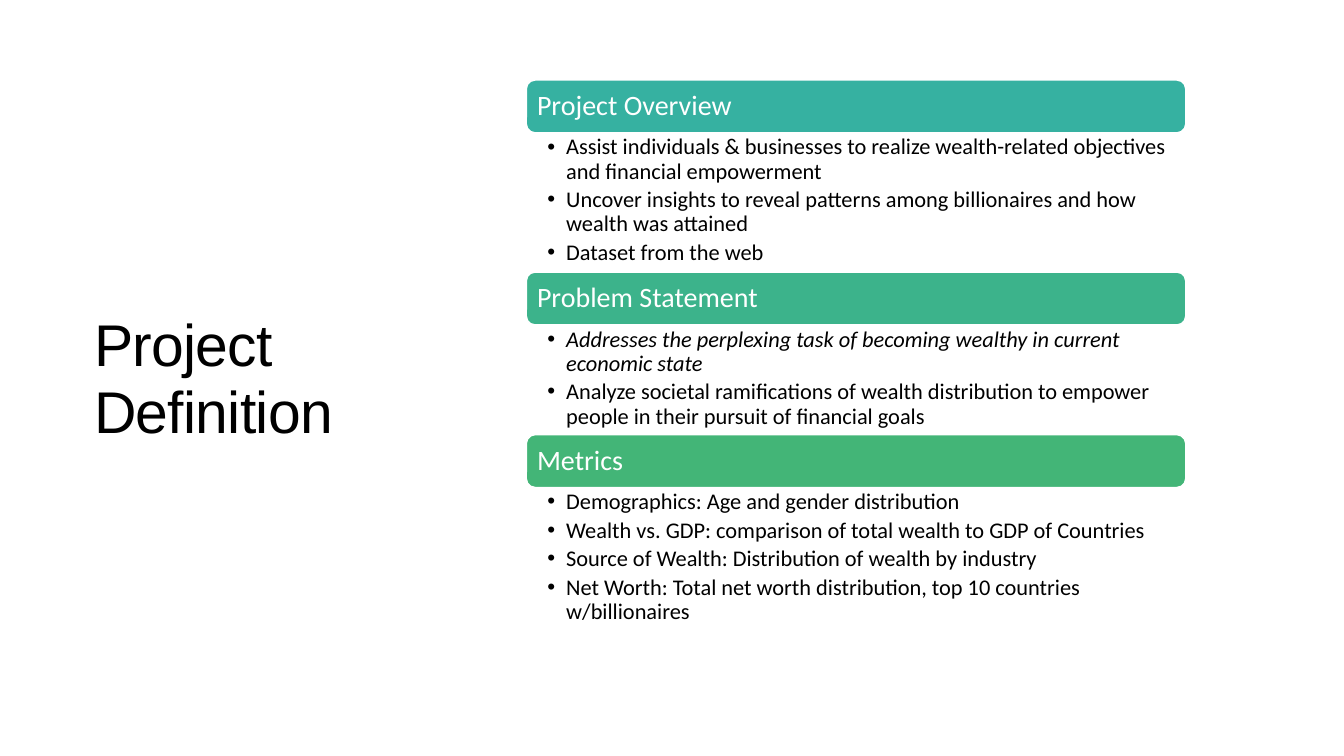
from lxml import etree
from pptx import Presentation
from pptx.dml.color import RGBColor
from pptx.enum import shapes, text
from pptx.oxml.ns import qn
from pptx.util import Pt

HEADING = "Project Definition"
SECTIONS = [
    ("Project Overview", "teal", 99.5, [
        ("Assist individuals & businesses to realize wealth-related objectives and financial empowerment", False),
        ("Uncover insights to reveal patterns among billionaires and how wealth was attained", False),
        ("Dataset from the web", False),
    ]),
    ("Problem Statement", "jade", 78.4, [
        ("Addresses the perplexing task of becoming wealthy in current economic state", True),
        ("Analyze societal ramifications of wealth distribution to empower people in their pursuit of financial goals", False),
    ]),
    ("Metrics", "green", 121, [
        ("Demographics: Age and gender distribution", False),
        ("Wealth vs. GDP: comparison of total wealth to GDP of Countries", False),
        ("Source of Wealth: Distribution of wealth by industry", False),
        ("Net Worth: Total net worth distribution, top 10 countries w/billionaires", False),
    ]),
]
COLORS = {"teal": "36B1A1", "jade": "3CB38B", "green": "43B577",
          "white": "FFFFFF", "black": "000000"}
LEFT, TOP, WIDTH, BANNER_HEIGHT = 376, 57.2, 471, 37.7
BULLET_INDENT = Pt(13.5)


def color(name):
    return RGBColor.from_string(COLORS[name])


def set_frame(frame, anchor, insets):
    frame.word_wrap = True
    frame.auto_size = text.MSO_AUTO_SIZE.NONE
    frame.vertical_anchor = anchor
    frame.margin_left, frame.margin_top, frame.margin_right, frame.margin_bottom = map(Pt, insets)


def style(paragraph, font_name, size, color_name, spacing):
    paragraph.alignment = text.PP_ALIGN.LEFT
    paragraph.line_spacing = spacing
    for run in paragraph.runs:
        run.font.name = font_name
        run.font.size = Pt(size)
        run.font.color.rgb = color(color_name)


def add_bullet(paragraph):
    properties = paragraph._p.get_or_add_pPr()
    properties.set("marL", str(BULLET_INDENT))
    properties.set("indent", str(-BULLET_INDENT))
    etree.SubElement(properties, qn("a:buFont")).set("typeface", "Arial")
    etree.SubElement(properties, qn("a:buChar")).set("char", "•")


def add_banner(slide, name, fill, top):
    banner = slide.shapes.add_shape(shapes.MSO_SHAPE.ROUNDED_RECTANGLE,
                                    Pt(LEFT), Pt(top), Pt(WIDTH), Pt(BANNER_HEIGHT))
    banner.shadow.inherit = False
    banner.fill.solid()
    banner.fill.fore_color.rgb = color(fill)
    banner.line.color.rgb = color("white")
    banner.line.width = Pt(1)
    set_frame(banner.text_frame, text.MSO_ANCHOR.MIDDLE, (5.8, 4, 5.8, 4))
    banner.text_frame.text = name
    style(banner.text_frame.paragraphs[0], "Calibri", 20, "white", 0.9)


def add_points(slide, points, top, height):
    body = slide.shapes.add_textbox(Pt(LEFT), Pt(top), Pt(WIDTH), Pt(height)).text_frame
    set_frame(body, text.MSO_ANCHOR.TOP, (15, 2, 11.5, 2))
    body.text = "\n".join(point for point, _ in points)
    for paragraph, (_, italic) in zip(body.paragraphs, points):
        style(paragraph, "Calibri", 16, "black", 0.9)
        paragraph.space_after = Pt(3.2)
        paragraph.runs[0].font.italic = italic
        add_bullet(paragraph)


def main():
    deck = Presentation()
    deck.slide_width, deck.slide_height = Pt(960), Pt(540)
    slide = deck.slides.add_slide(deck.slide_layouts[5])

    title = slide.shapes.title
    title.left, title.top, title.width, title.height = Pt(60), Pt(61), Pt(307.5), Pt(420.5)
    set_frame(title.text_frame, text.MSO_ANCHOR.MIDDLE, (7.2, 3.6, 7.2, 3.6))
    title.text_frame.text = HEADING
    heading = title.text_frame.paragraphs[0]
    style(heading, "Arial", 42, "black", 0.95)
    heading.runs[0].font._element.set("spc", "-50")

    top = TOP
    for name, fill, height, points in SECTIONS:
        add_banner(slide, name, fill, top)
        add_points(slide, points, top + BANNER_HEIGHT, height)
        top += BANNER_HEIGHT + height

    deck.save("out.pptx")


if __name__ == "__main__":
    main()
